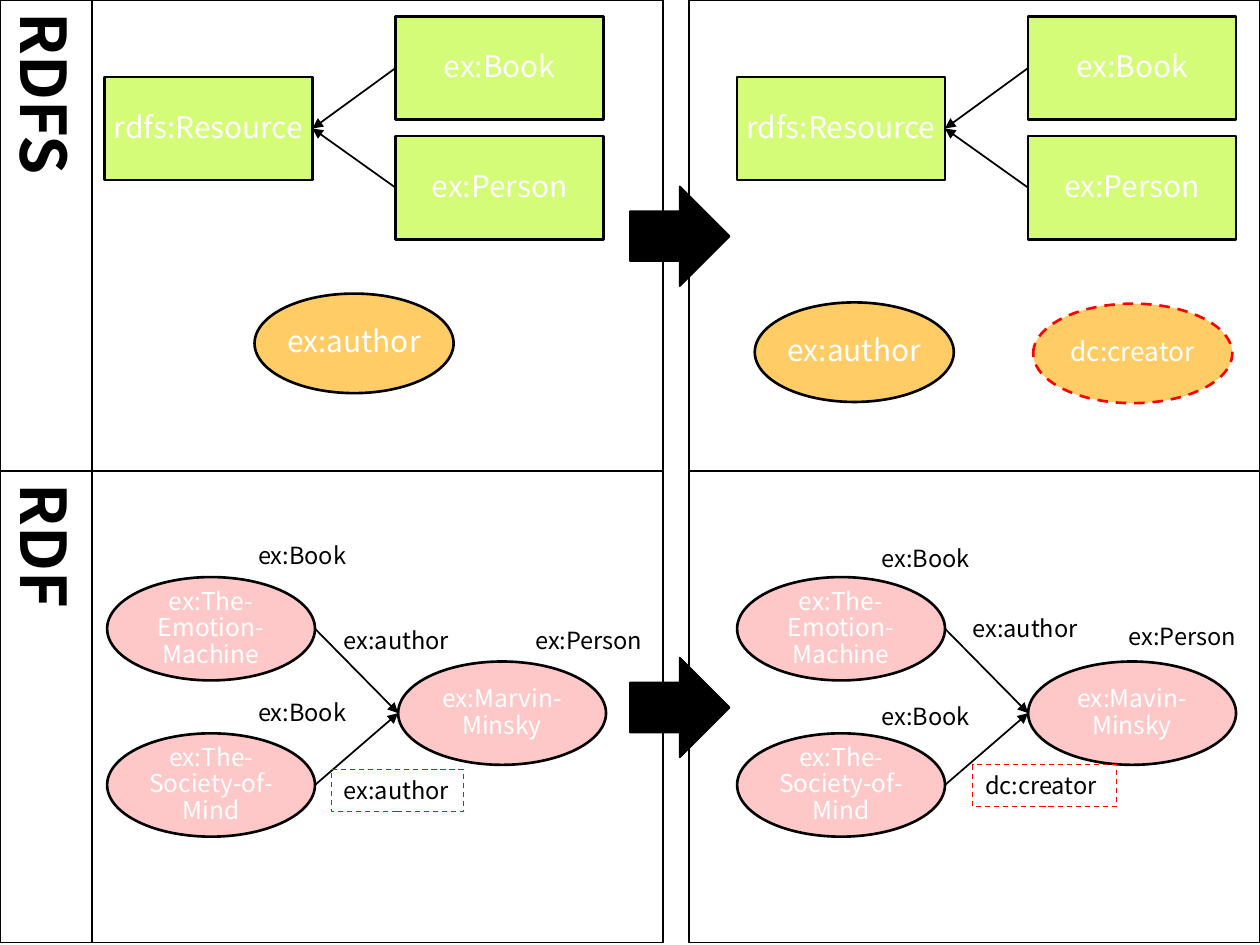
"""Build a slide comparing RDFS and RDF before and after adding dc:creator."""
from dataclasses import dataclass

import pptx
import pptx.dml.color
import pptx.enum.dml
import pptx.enum.shapes
import pptx.enum.text
import pptx.oxml.ns
import pptx.util
from lxml import etree

Inches = pptx.util.Inches
Pt = pptx.util.Pt
SHAPES = pptx.enum.shapes.MSO_SHAPE


@dataclass(frozen=True)
class Theme:
    font: str = "Noto Sans CJK JP"
    ink: str = "000000"
    paper: str = "FFFFFF"
    resource: str = "D5FC79"
    property: str = "FFCC66"
    instance: str = "FFC8C8"
    highlight: str = "FF0000"
    header_size: float = 36
    class_size: float = 17
    creator_size: float = 15
    instance_size: float = 14
    label_size: float = 13.5
    thin: float = 1
    thick: float = 1.5
    dashed: float = 0.75


class Diagram:
    def __init__(self, slide, theme):
        self.slide = slide
        self.theme = theme

    def color(self, value):
        return pptx.dml.color.RGBColor.from_string(value)

    def outline(self, shape, color, width, dashed=False):
        shape.line.color.rgb = self.color(color)
        shape.line.width = Pt(width)
        if dashed:
            shape.line.dash_style = pptx.enum.dml.MSO_LINE.DASH

    def set_text(self, shape, text, size, color, bold=False):
        shape.text_frame.text = text
        for paragraph in shape.text_frame.paragraphs:
            for run in paragraph.runs:
                run.font.name = self.theme.font
                run.font.size = Pt(size)
                run.font.bold = bold
                run.font.color.rgb = self.color(color)

    def shape(self, kind, left, top, width, height, fill, line=None, weight=None, dashed=False):
        shape = self.slide.shapes.add_shape(
            kind, Inches(left), Inches(top), Inches(width), Inches(height))
        shape.shadow.inherit = False
        shape.fill.solid()
        shape.fill.fore_color.rgb = self.color(fill)
        self.outline(shape, line or self.theme.ink, weight or self.theme.thin, dashed)
        return shape

    def header(self, text, top, width, height):
        shape = self.shape(SHAPES.RECTANGLE, 0, top, width, height, self.theme.paper)
        self.set_text(shape, text, self.theme.header_size, self.theme.ink, bold=True)
        shape.text_frame.paragraphs[0].alignment = pptx.enum.text.PP_ALIGN.CENTER
        shape.text_frame.vertical_anchor = pptx.enum.text.MSO_ANCHOR.MIDDLE
        shape.text_frame._txBody.bodyPr.set("vert", "eaVert")

    def node(self, kind, text, left, top, width, height, fill, size, line=None, dashed=False):
        shape = self.shape(
            kind, left, top, width, height, fill, line, self.theme.thick, dashed)
        self.set_text(shape, text, size, self.theme.paper)
        frame = shape.text_frame
        frame.word_wrap = True
        frame.vertical_anchor = pptx.enum.text.MSO_ANCHOR.MIDDLE
        frame.margin_left = frame.margin_right = Inches(0.01)
        frame.margin_top = frame.margin_bottom = Inches(0.01)
        frame.paragraphs[0].alignment = pptx.enum.text.PP_ALIGN.CENTER
        frame.paragraphs[0].line_spacing = 0.9
        return shape

    def label(self, text, left, top, width, boxed=False):
        box = self.slide.shapes.add_textbox(
            Inches(left), Inches(top), Inches(width), Inches(0.33))
        self.set_text(box, text, self.theme.label_size, self.theme.ink)
        box.text_frame.word_wrap = False
        box.text_frame.auto_size = pptx.enum.text.MSO_AUTO_SIZE.SHAPE_TO_FIT_TEXT
        if boxed:
            self.outline(box, self.theme.highlight, self.theme.dashed, dashed=True)

    def arrow(self, source, target, joined=False):
        connector = self.slide.shapes.add_connector(
            pptx.enum.shapes.MSO_CONNECTOR.STRAIGHT,
            source.left, source.top + source.height // 2,
            target.left, target.top + target.height // 2)
        if joined:
            connector.begin_connect(source, 1)
            connector.end_connect(target, 3)
        else:
            connector.begin_x = source.left + source.width
        self.outline(connector, self.theme.ink, self.theme.thin)
        qualified = pptx.oxml.ns.qn
        etree.SubElement(connector.line._get_or_add_ln(), qualified("a:tailEnd"), type="triangle")
        etree.SubElement(connector._element.spPr, qualified("a:effectLst"))

    def row(self, title, top):
        header_width, panel_width, height = 0.73, 4.53, 3.74
        for left in (header_width, 10 - panel_width):
            self.shape(SHAPES.RECTANGLE, left, top, panel_width, height, self.theme.paper)
        self.header(title, top, header_width, height)
        self.shape(SHAPES.RIGHT_ARROW, 5, top + 1.48, 0.79, 0.79, self.theme.ink)

    def class_hierarchy(self, left):
        def box(text, offset, top):
            return self.node(SHAPES.RECTANGLE, text, left + offset, top, 1.65, 0.82,
                             self.theme.resource, self.theme.class_size)

        parent = box("rdfs:Resource", 0, 0.61)
        for text, top in (("ex:Book", 0.13), ("ex:Person", 1.08)):
            self.arrow(box(text, 2.31, top), parent, joined=True)

    def property(self, text, left, top, size, line=None, dashed=False):
        self.node(SHAPES.OVAL, text, left, top, 1.58, 0.79,
                  self.theme.property, size, line, dashed)

    def book_graph(self, left, person, person_left):
        def ellipse(text, x, y):
            return self.node(SHAPES.OVAL, text, x, y, 1.65, 0.82,
                             self.theme.instance, self.theme.instance_size)

        author = ellipse(person, person_left, 5.25)
        for text, top in (("ex:The-Emotion-Machine", 4.58), ("ex:The-Society-of-Mind", 5.82)):
            self.arrow(ellipse(text, left, top), author)


def main():
    presentation = pptx.Presentation()
    presentation.slide_width = Inches(10)
    presentation.slide_height = Inches(7.5)
    theme = Theme()
    diagram = Diagram(presentation.slides.add_slide(presentation.slide_layouts[6]), theme)

    diagram.row("RDFS", 0)
    for left in (0.83, 5.85):
        diagram.class_hierarchy(left)
    diagram.property("ex:author", 2.02, 2.33, theme.class_size)
    diagram.property("ex:author", 5.99, 2.4, theme.class_size)
    diagram.property("dc:creator", 8.2, 2.41, theme.creator_size, theme.highlight, dashed=True)

    diagram.row("RDF", 3.74)
    diagram.book_graph(0.85, "ex:Marvin-Minsky", 3.16)
    diagram.book_graph(5.85, "ex:Mavin-Minsky", 8.16)
    for left, top in ((1.95, 4.24), (6.9, 4.27)):
        for step in (0, 1.25):
            diagram.label("ex:Book", left, top + step, 0.92)
    for left, top in ((2.63, 4.92), (7.62, 4.82)):
        diagram.label("ex:author", left, top, 1.05)
    for left, top in ((4.15, 4.92), (8.86, 4.89)):
        diagram.label("ex:Person", left, top, 1.09)
    diagram.label("ex:author", 2.63, 6.11, 1.05, boxed=True)
    diagram.label("dc:creator", 7.72, 6.07, 1.14, boxed=True)

    presentation.save("out.pptx")


if __name__ == "__main__":
    main()
